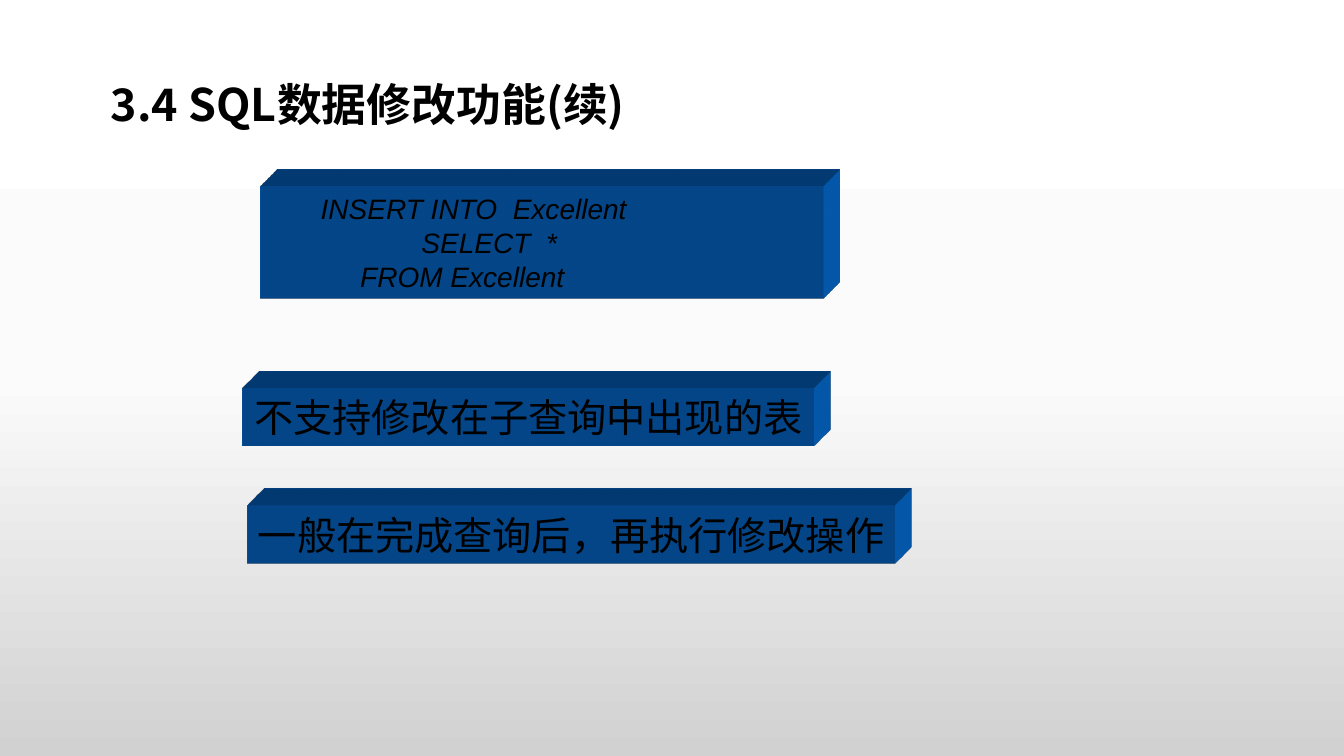
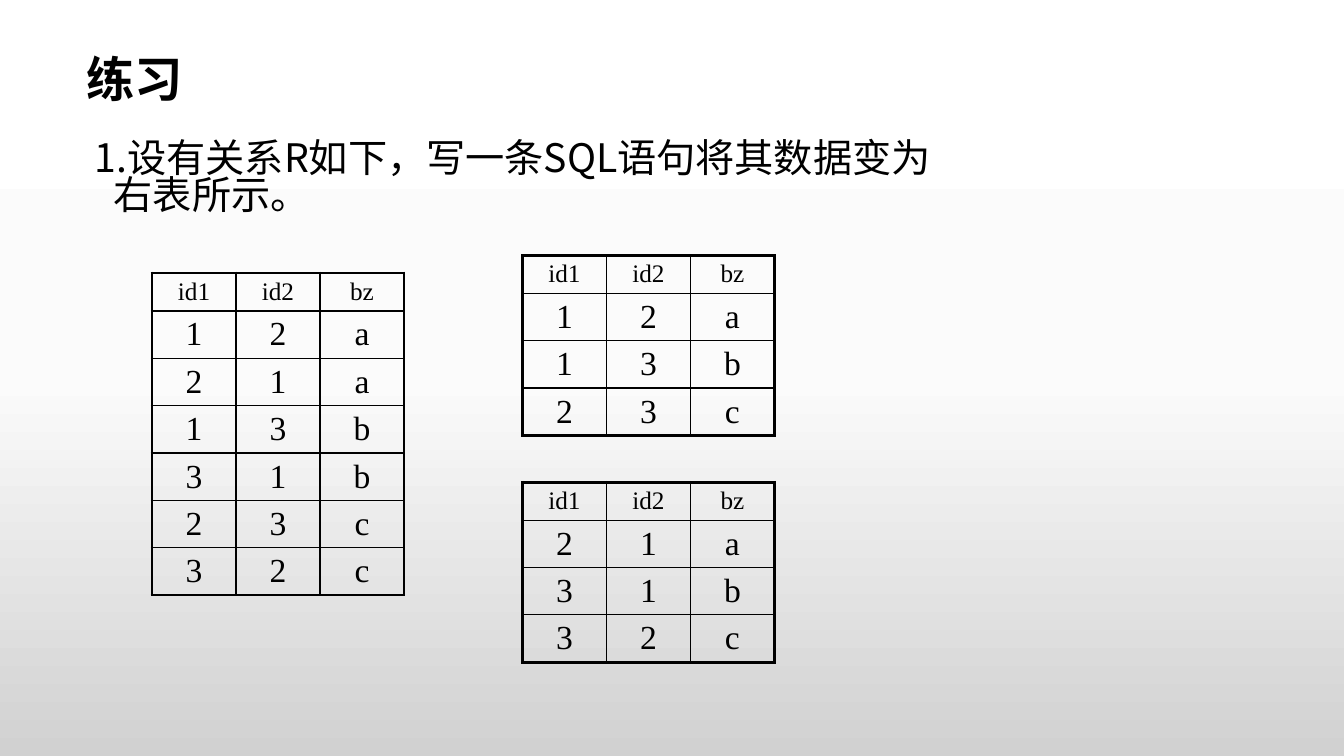
from dataclasses import dataclass
from itertools import chain

from lxml.etree import SubElement
from pptx import Presentation
from pptx.dml.color import RGBColor
from pptx.enum.shapes import MSO_SHAPE
from pptx.enum.text import MSO_ANCHOR, MSO_AUTO_SIZE, PP_ALIGN
from pptx.oxml import parse_xml
from pptx.oxml.ns import nsdecls, qn
from pptx.presentation import Presentation as Deck
from pptx.shapes.base import BaseShape
from pptx.slide import Slide
from pptx.table import _Cell
from pptx.text.text import _Paragraph
from pptx.util import Emu, Pt

CELL = 76200
COLS, ROWS = 160, 90
BLACK = RGBColor(0x00, 0x00, 0x00)
BLUE = RGBColor(0x05, 0x63, 0xC1)
BACKGROUND = (
    (0, RGBColor(0xFF, 0xFF, 0xFF)),
    (50, RGBColor(0xFB, 0xFB, 0xFB)),
    (100, RGBColor(0xD1, 0xD1, 0xD1)),
)
CJK, SANS, SERIF = "Noto Sans CJK SC", "Arial", "Times New Roman"
THIN, THICK = Pt(1), Pt(2.25)
COL_WIDTH, HEAD_HEIGHT, ROW_HEIGHT = 10, 4.5, 5.64
HEADER = ("id1", "id2", "bz")
UPPER = ("12a", "13b", "23c")
LOWER = ("21a", "31b", "32c")


@dataclass(frozen=True)
class Box:
    left: float
    top: float
    width: float
    height: float


@dataclass(frozen=True)
class Line:
    text: str
    indent: float = 0


@dataclass(frozen=True)
class Block:
    box: Box
    lines: tuple[Line, ...]
    size: float = 28
    font: str = CJK
    italic: bool = False
    align: PP_ALIGN = PP_ALIGN.CENTER


@dataclass(frozen=True)
class Relation:
    left: float
    top: float
    rows: tuple[str, ...]


BLOCKS = (
    Block(
        Box(31, 22.2, 67, 13.3),
        (
            Line("INSERT INTO  Excellent", 6),
            Line("SELECT  *", 18),
            Line("FROM Excellent", 10.7),
        ),
        20, SANS, True, PP_ALIGN.LEFT,
    ),
    Block(Box(28.9, 46.2, 68, 6.9), (Line("不支持修改在子查询中出现的表"),)),
    Block(Box(29.5, 60.2, 77, 6.9), (Line("一般在完成查询后，再执行修改操作"),)),
)
RELATIONS = (
    Relation(18.1, 32.5, tuple(chain.from_iterable(zip(UPPER, LOWER)))),
    Relation(62.2, 30.4, UPPER),
    Relation(62.2, 57.4, LOWER),
)


def grid(n: float) -> Emu:
    return Emu(round(n * CELL))


def place(sp: BaseShape, box: Box) -> None:
    sp.left, sp.top = grid(box.left), grid(box.top)
    sp.width, sp.height = grid(box.width), grid(box.height)


def style(p: _Paragraph, size: float, font: str, bold: bool = False, italic: bool = False) -> None:
    for r in p.runs:
        r.font.size, r.font.name = Pt(size), font
        r.font.bold, r.font.italic = bold, italic
        r.font.color.rgb = BLACK
        SubElement(r.font._element, qn("a:ea")).set("typeface", font)


def set_indent(p: _Paragraph, margin: float, first: float = 0) -> None:
    pPr = p._p.get_or_add_pPr()
    pPr.set("marL", str(grid(margin)))
    pPr.set("indent", str(grid(first)))


def set_background(prs: Deck) -> None:
    fill = prs.slide_master.background.fill
    fill.gradient()
    fill.gradient_angle = 270
    stops = prs.slide_master.element.find(".//" + qn("p:bg")).find(".//" + qn("a:gsLst"))
    for stop in list(stops):
        stops.remove(stop)
    for share, color in BACKGROUND:
        stop = SubElement(stops, qn("a:gs"), pos=str(share * 1000))
        SubElement(stop, qn("a:srgbClr"), val=str(color))


def add_slide(prs: Deck, layout: int, title: str, left: float, top: float, size: float) -> Slide:
    s = prs.slides.add_slide(prs.slide_layouts[layout])
    sp = s.shapes.title
    place(sp, Box(left, top, 102, 11))
    tf = sp.text_frame
    tf.text = title
    tf.auto_size = MSO_AUTO_SIZE.NONE
    tf.vertical_anchor = MSO_ANCHOR.MIDDLE
    p = tf.paragraphs[0]
    p.alignment, p.line_spacing = PP_ALIGN.LEFT, 0.9
    style(p, size, CJK, bold=True)
    return s


def add_extrusion(sp: BaseShape) -> None:
    ns = nsdecls("a")
    for xml in (
        f'<a:scene3d {ns}><a:camera prst="legacyObliqueTopRight"/>'
        '<a:lightRig rig="legacyFlat3" dir="b"/></a:scene3d>',
        f'<a:sp3d {ns} extrusionH="430200" prstMaterial="legacyMatte">'
        '<a:bevelT w="13500" h="13500" prst="angle"/>'
        '<a:bevelB w="13500" h="13500" prst="angle"/>'
        f'<a:extrusionClr><a:srgbClr val="{BLUE}"/></a:extrusionClr></a:sp3d>',
    ):
        sp._element.spPr.append(parse_xml(xml))


def add_block(s: Slide, block: Block) -> None:
    sp = s.shapes.add_shape(MSO_SHAPE.RECTANGLE, 0, 0, 0, 0)
    place(sp, block.box)
    sp.fill.solid()
    sp.fill.fore_color.rgb = BLUE
    sp.line.fill.background()
    sp.shadow.inherit = False
    add_extrusion(sp)
    tf = sp.text_frame
    tf.word_wrap = False
    tf.vertical_anchor = MSO_ANCHOR.MIDDLE
    tf.text = "\n".join(line.text for line in block.lines)
    for p, line in zip(tf.paragraphs, block.lines):
        p.alignment = block.align
        set_indent(p, line.indent)
        style(p, block.size, block.font, italic=block.italic)


def set_borders(cell: _Cell, edges: dict[str, bool]) -> None:
    tcPr = cell._tc.get_or_add_tcPr()
    for side, outer in edges.items():
        ln = SubElement(tcPr, qn(f"a:ln{side}"), w=str(THICK if outer else THIN))
        fill = SubElement(ln, qn("a:solidFill"))
        SubElement(fill, qn("a:srgbClr"), val=str(BLACK))


def add_relation(s: Slide, relation: Relation) -> None:
    rows = (HEADER, *relation.rows)
    heights = [HEAD_HEIGHT] + [ROW_HEIGHT] * len(relation.rows)
    last_row, last_col = len(rows) - 1, len(HEADER) - 1
    table = s.shapes.add_table(
        len(rows), len(HEADER), grid(relation.left), grid(relation.top),
        grid(COL_WIDTH * len(HEADER)), grid(sum(heights)),
    ).table
    table.first_row = table.horz_banding = False
    for column in table.columns:
        column.width = grid(COL_WIDTH)
    for i, (values, height) in enumerate(zip(rows, heights)):
        table.rows[i].height = grid(height)
        for j, value in enumerate(values):
            cell = table.cell(i, j)
            cell.text_frame.text = value
            p = cell.text_frame.paragraphs[0]
            p.alignment = PP_ALIGN.CENTER
            style(p, 24 if i else 18, SERIF)
            set_borders(cell, {"L": j == 0, "R": j == last_col, "T": i == 0, "B": i == last_row})
            cell.fill.background()


def add_question(s: Slide, text: str) -> None:
    sp = s.placeholders[1]
    place(sp, Box(10.1, 16.3, 103, 11))
    tf = sp.text_frame
    tf.text = text
    tf.auto_size = MSO_AUTO_SIZE.NONE
    p = tf.paragraphs[0]
    p.line_spacing, p.space_before = 0.8, Pt(7.5)
    set_indent(p, 2.25, -2.25)
    SubElement(p._p.get_or_add_pPr(), qn("a:buNone"))
    style(p, 28, CJK)


def main() -> None:
    prs = Presentation()
    prs.slide_width, prs.slide_height = grid(COLS), grid(ROWS)
    set_background(prs)

    s = add_slide(prs, 5, "3.4 SQL数据修改功能(续)", 12, 7.2, 32)
    for block in BLOCKS:
        add_block(s, block)

    s = add_slide(prs, 1, "练习", 9.1, 4.3, 34.5)
    add_question(s, "1.设有关系R如下，写一条SQL语句将其数据变为右表所示。")
    for relation in RELATIONS:
        add_relation(s, relation)

    prs.save("out.pptx")


if __name__ == "__main__":
    main()
